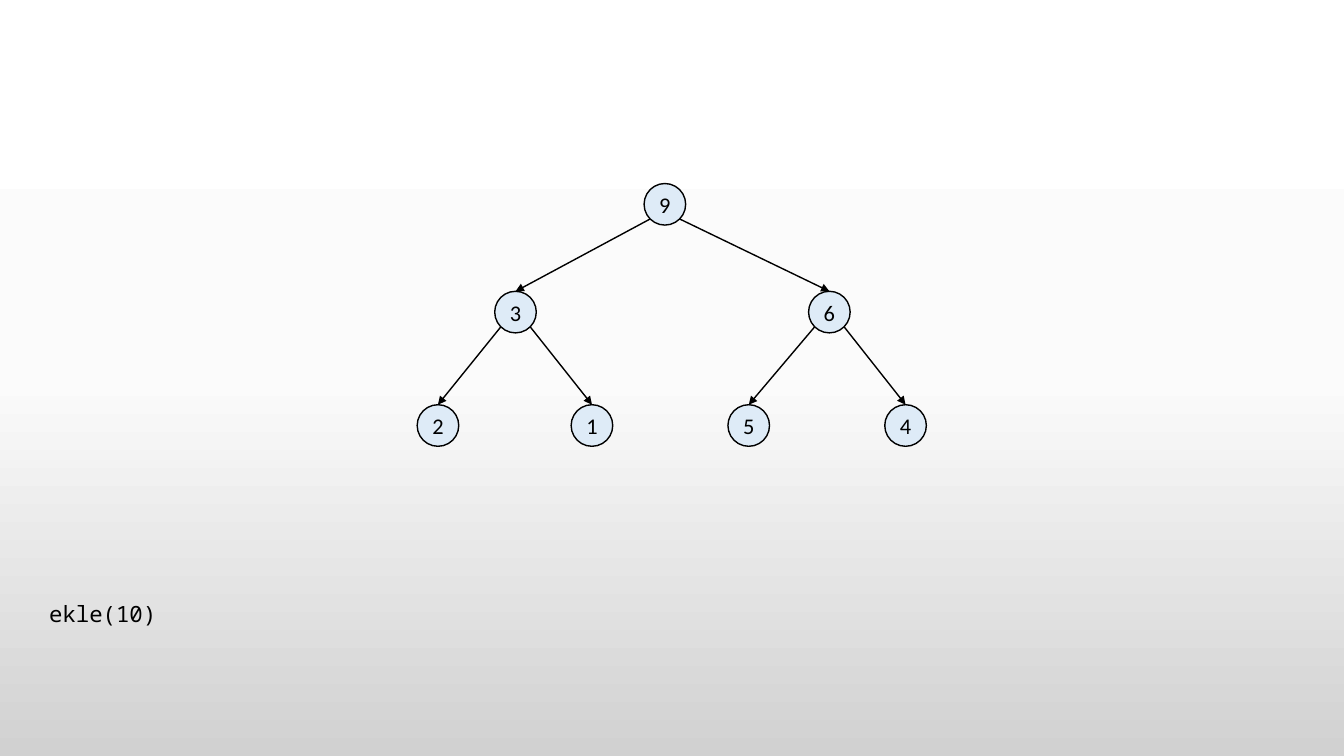
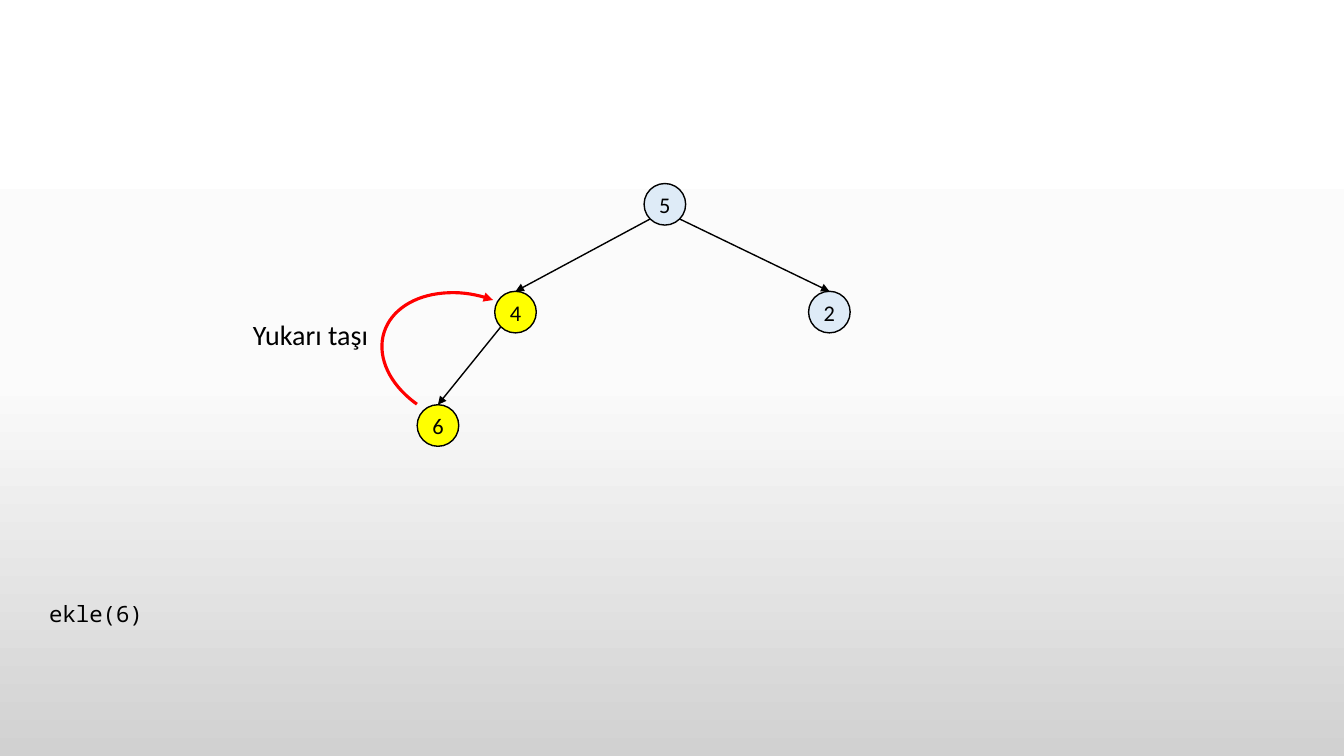
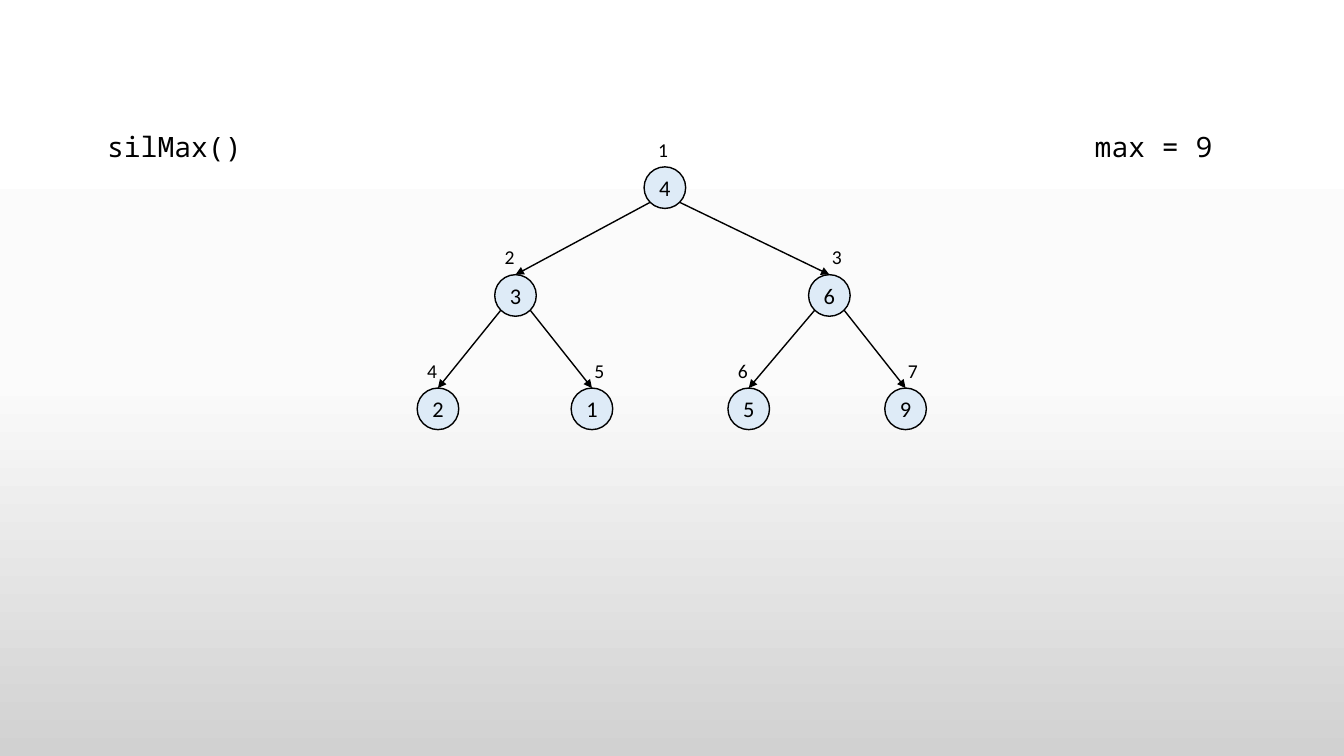
from copy import deepcopy

from lxml.etree import SubElement
from pptx import Presentation
from pptx.dml.color import RGBColor
from pptx.enum.shapes import MSO_CONNECTOR, MSO_SHAPE
from pptx.enum.text import MSO_ANCHOR, MSO_AUTO_SIZE, PP_ALIGN
from pptx.oxml.ns import qn
from pptx.util import Pt

COLORS = {
    "ink": "000000",
    "node": "DEEBF7",
    "highlight": "FFFF00",
    "move": "FF0000",
    "sky": "FFFFFF",
    "mist": "FBFBFB",
    "ground": "D1D1D1",
}
MONO = "Noto Sans Mono"

# Tree geometry in points, nodes numbered level by level
DIAMETER = 29.7
NODE_LEFTS = [460.1, 353.4, 577.6, 298, 408, 520, 632]
LEVEL_TOPS = [131.1, 208.1, 289.1]


def write_text(shape, text, size=16, font="Calibri", align=PP_ALIGN.LEFT,
               anchor=MSO_ANCHOR.TOP, wrap=False, grow=True,
               insets=(7.2, 3.6, 7.2, 3.6), spacing=None):
    frame = shape.text_frame
    frame.word_wrap = wrap
    frame.auto_size = MSO_AUTO_SIZE.SHAPE_TO_FIT_TEXT if grow else MSO_AUTO_SIZE.NONE
    frame.vertical_anchor = anchor
    (frame.margin_left, frame.margin_top,
     frame.margin_right, frame.margin_bottom) = map(Pt, insets)
    paragraph = frame.paragraphs[0]
    paragraph.alignment = align
    paragraph.line_spacing = spacing
    run = paragraph.add_run()
    run.text = text
    run.font.size = Pt(size)
    run.font.name = font
    run.font.color.rgb = RGBColor.from_string(COLORS["ink"])


def style_arrow(arrow, color, width):
    arrow.line.color.rgb = RGBColor.from_string(COLORS[color])
    arrow.line.width = Pt(width)
    properties = arrow.element.spPr
    SubElement(properties.find(qn("a:ln")), qn("a:tailEnd"), type="triangle")
    if properties.find(qn("a:effectLst")) is None:
        SubElement(properties, qn("a:effectLst"))


prs = Presentation()
prs.slide_width, prs.slide_height = Pt(960), Pt(540)

# Shared background gradient on the master
backdrop = prs.slide_master.background.fill
backdrop.gradient()
backdrop.gradient_angle = 270
stop_list = prs.slide_master.element.find(".//" + qn("a:gsLst"))
stop_list.insert(1, deepcopy(stop_list[0]))
for stop, position, name in zip(backdrop.gradient_stops, (0, 0.5, 1),
                                ("sky", "mist", "ground")):
    stop.position = position
    stop.color.rgb = RGBColor.from_string(COLORS[name])

command_format = dict(font=MONO, anchor=MSO_ANCHOR.BOTTOM)
result_format = dict(size=20, font=MONO, wrap=True, spacing=1.5,
                     insets=(0, 3.6, 7.2, 3.6))

# One heap per slide; captions are (text, left, top, width, height, format)
heaps = [
    dict(values=[9, 3, 6, 2, 1, 5, 4],
         captions=[("ekle(10)", 28, 424.8, 92.2, 26.6, command_format)]),
    dict(values=[5, 4, 2, 6], highlighted=[1, 3], move_up=True,
         captions=[("ekle(6)", 28, 424.8, 82.8, 26.6, command_format),
                   ("Yukarı taşı", 173.5, 223.2, 97.9, 31.5, dict(size=20))]),
    dict(values=[4, 3, 6, 2, 1, 5, 9], shift=-11.9, numbered=True,
         captions=[("silMax()", 76.5, 77, 149, 39.6, result_format),
                   ("max = 9", 782, 77, 95.8, 43.9, result_format)]),
]

for heap in heaps:
    slide = prs.slides.add_slide(prs.slide_layouts[6])
    nodes = []
    for index, value in enumerate(heap["values"]):
        left = NODE_LEFTS[index]
        level = (index + 1).bit_length() - 1
        top = LEVEL_TOPS[level] + heap.get("shift", 0)

        # Node
        node = slide.shapes.add_shape(MSO_SHAPE.OVAL, Pt(left), Pt(top),
                                      Pt(DIAMETER), Pt(DIAMETER))
        node.shadow.inherit = False
        node.fill.solid()
        fill = "highlight" if index in heap.get("highlighted", []) else "node"
        node.fill.fore_color.rgb = RGBColor.from_string(COLORS[fill])
        node.line.color.rgb = RGBColor.from_string(COLORS["ink"])
        node.line.width = Pt(1)
        write_text(node, str(value), align=PP_ALIGN.CENTER, grow=False,
                   anchor=MSO_ANCHOR.MIDDLE, insets=(0, 0, 0, 0))
        nodes.append(node)

        # Edge from the parent's lower left or lower right
        is_right = index > 0 and index % 2 == 0
        if index:
            parent = nodes[(index - 1) // 2]
            edge = slide.shapes.add_connector(
                MSO_CONNECTOR.STRAIGHT,
                parent.left + Pt(DIAMETER * (0.85 if is_right else 0.15)),
                parent.top + Pt(DIAMETER * 0.85),
                node.left + node.width // 2, node.top)
            edge.end_connect(node, 0)
            style_arrow(edge, "ink", 1)

        # Array position above the node
        if heap.get("numbered"):
            offset = 9.5 if is_right else 0 if index else 3
            number = slide.shapes.add_textbox(Pt(left + offset), Pt(top - 24.5),
                                              Pt(21.6), Pt(24.5))
            write_text(number, str(index + 1), size=14)

    # Curved arrow that moves the new value up
    if heap.get("move_up"):
        move = slide.shapes.add_shape(MSO_SHAPE.ARC, Pt(289.4), Pt(193),
                                      Pt(91.4), Pt(127.4))
        move.adjustments[0], move.adjustments[1] = 126.92, 2.5
        move.rotation = 287.8
        move.shadow.inherit = False
        move.fill.background()
        style_arrow(move, "move", 2.25)

    # Captions
    for text, left, top, width, height, text_format in heap["captions"]:
        caption = slide.shapes.add_textbox(Pt(left), Pt(top), Pt(width), Pt(height))
        write_text(caption, text, **text_format)

prs.save("out.pptx")
